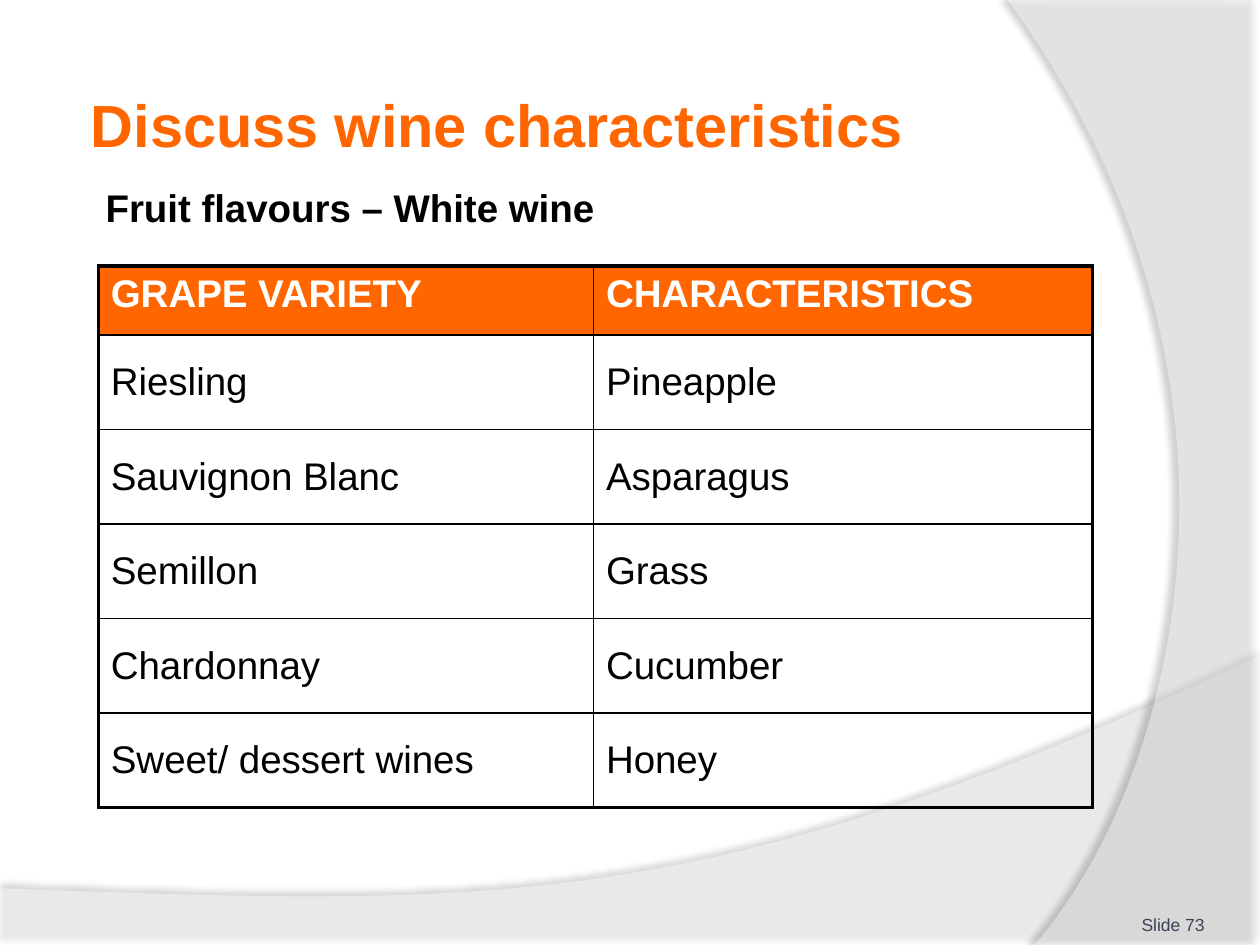
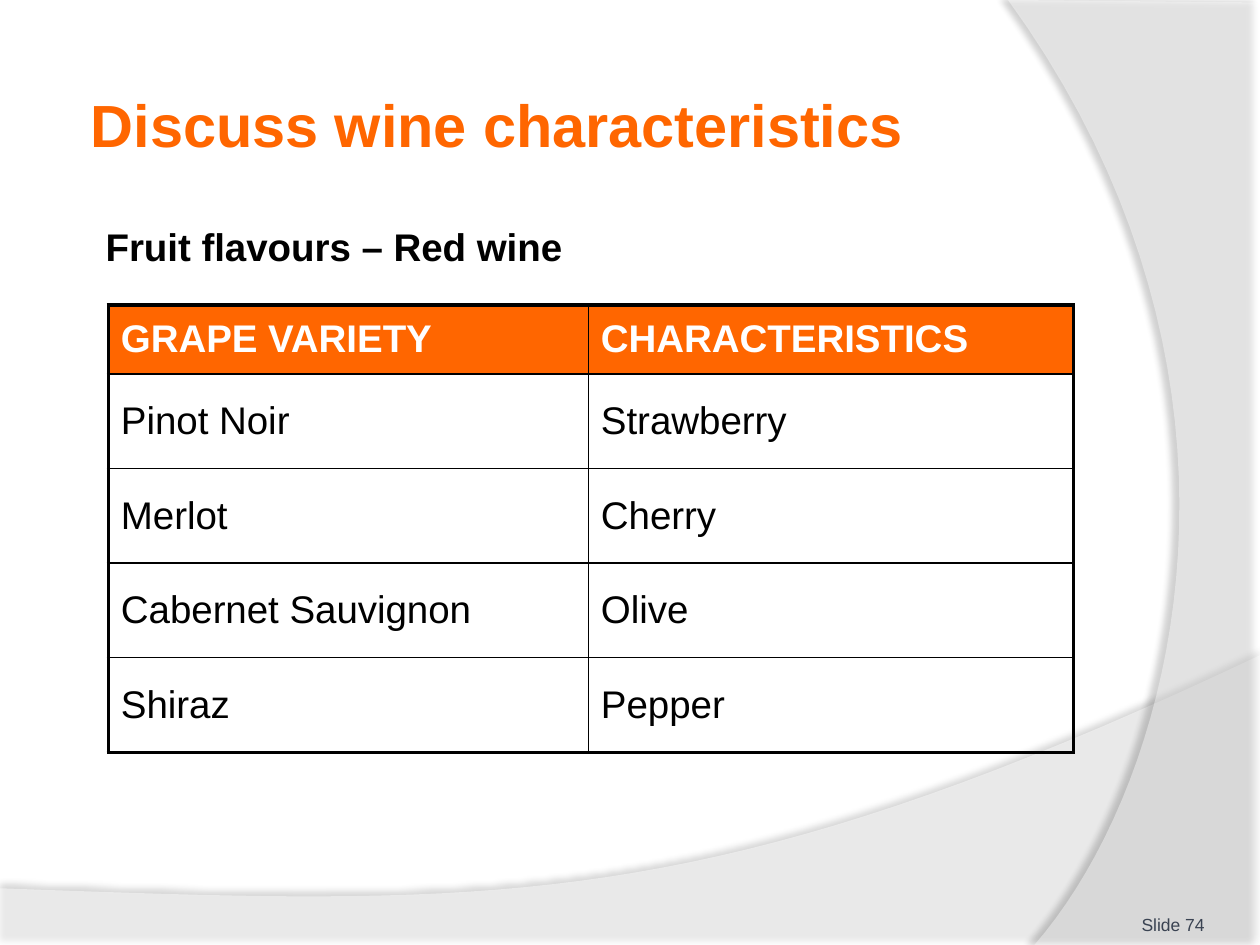
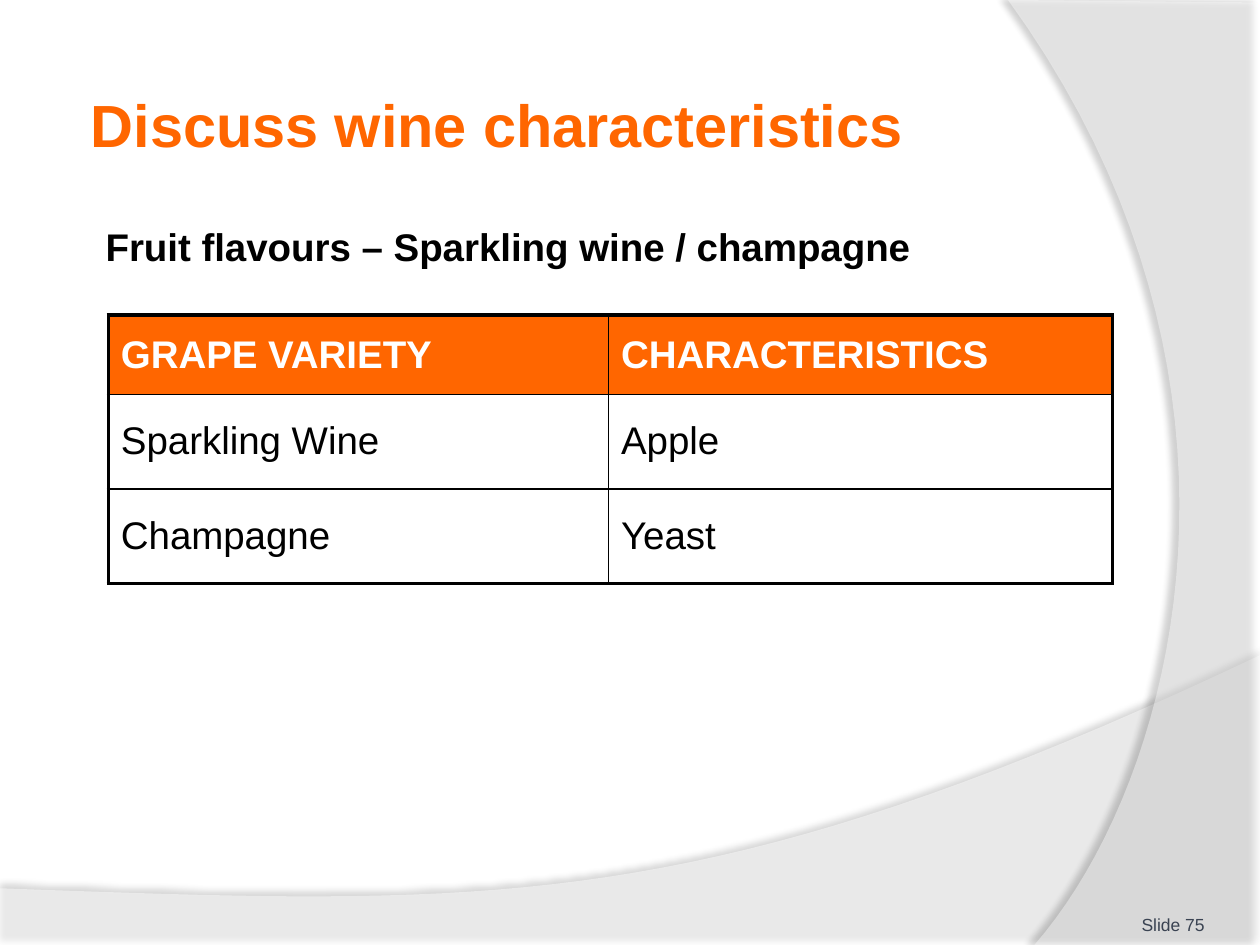
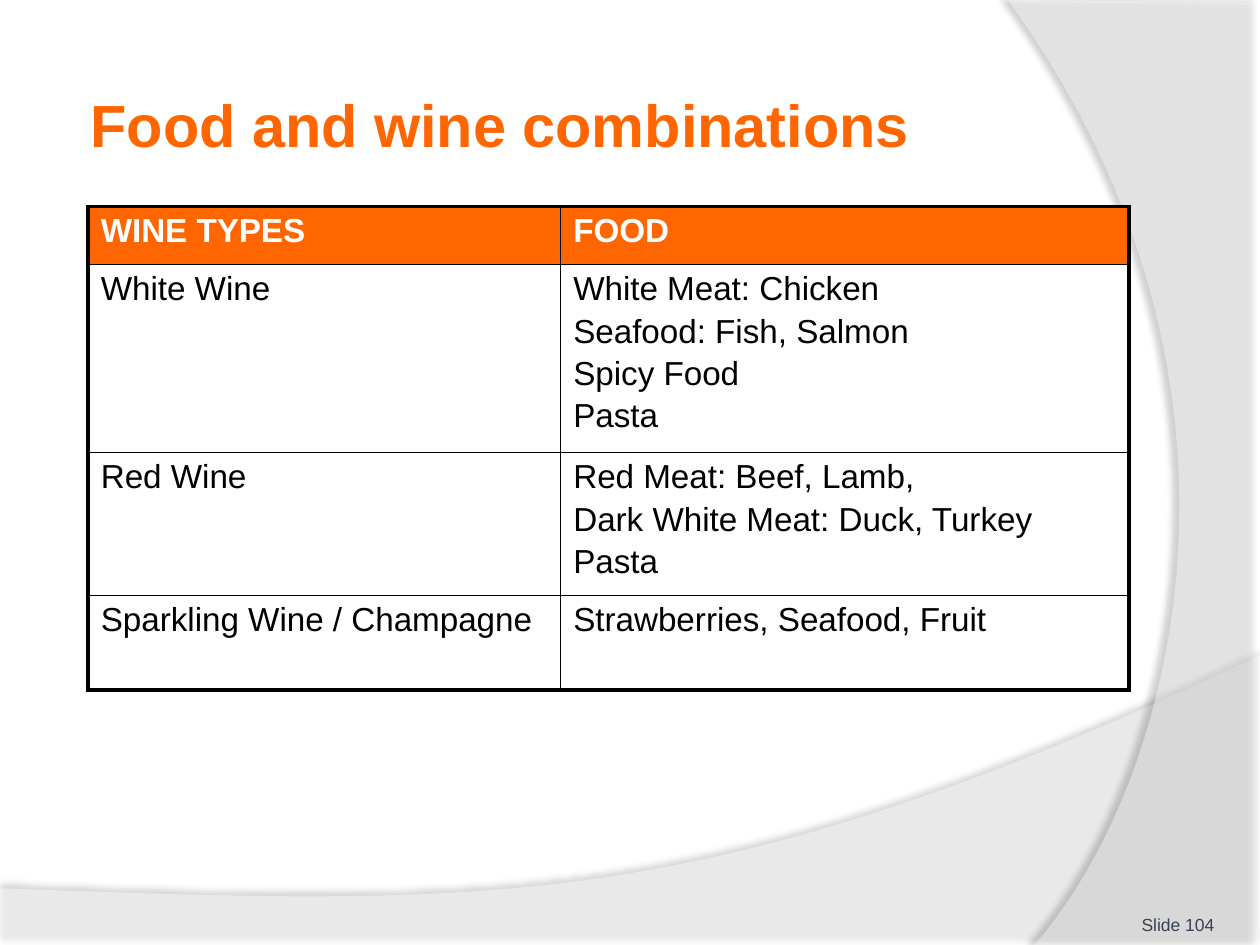
import pptx
import pptx.util
import pptx.dml.color
import pptx.enum.text
import pptx.oxml
import pptx.oxml.ns

# ---- Content ----
FLAVOUR_HEADER = ("GRAPE VARIETY", "CHARACTERISTICS")
ANCHOR = pptx.enum.text.MSO_ANCHOR
SLIDES = [
    dict(number=73, title="Discuss wine characteristics",
         subtitle="Fruit flavours – White wine", subtitle_top=1.41,
         corner=(0.78, 2.11), columns=(3.93, 3.96), heights=[0.55] + [0.75] * 5,
         size=22, header_anchor=ANCHOR.TOP, body_anchor=ANCHOR.MIDDLE,
         rows=[FLAVOUR_HEADER,
               ("Riesling", "Pineapple"),
               ("Sauvignon Blanc", "Asparagus"),
               ("Semillon", "Grass"),
               ("Chardonnay", "Cucumber"),
               ("Sweet/ dessert wines", "Honey")]),
    dict(number=74, title="Discuss wine characteristics",
         subtitle="Fruit flavours – Red wine", subtitle_top=1.72,
         corner=(0.86, 2.42), columns=(3.81, 3.85), heights=[0.55] + [0.75] * 4,
         size=22, header_anchor=ANCHOR.MIDDLE, body_anchor=ANCHOR.MIDDLE,
         rows=[FLAVOUR_HEADER,
               ("Pinot Noir", "Strawberry"),
               ("Merlot", "Cherry"),
               ("Cabernet Sauvignon", "Olive"),
               ("Shiraz", "Pepper")]),
    dict(number=75, title="Discuss wine characteristics",
         subtitle="Fruit flavours – Sparkling wine / champagne", subtitle_top=1.72,
         corner=(0.86, 2.5), columns=(3.97, 4), heights=[0.63] + [0.75] * 2,
         size=22, header_anchor=ANCHOR.MIDDLE, body_anchor=ANCHOR.MIDDLE,
         rows=[FLAVOUR_HEADER,
               ("Sparkling Wine", "Apple"),
               ("Champagne", "Yeast")]),
    dict(number=104, title="Food and wine combinations",
         corner=(0.7, 1.64), columns=(3.75, 4.51), heights=[0.46, 1.43, 1.09, 0.75],
         size=19, header_anchor=ANCHOR.TOP, body_anchor=ANCHOR.TOP,
         rows=[("WINE TYPES", "FOOD"),
               ("White Wine", "White Meat: Chicken\nSeafood: Fish, Salmon\nSpicy Food\nPasta"),
               ("Red Wine", "Red Meat: Beef, Lamb,\nDark White Meat: Duck, Turkey\nPasta"),
               ("Sparkling Wine / Champagne", "Strawberries, Seafood, Fruit")]),
]

# ---- Shared style ----
WIDTH, HEIGHT = 10, 7.5
FONT = "Arial"
ORANGE, BLACK, WHITE, SLATE = "FF6600", "000000", "FFFFFF", "3A4352"
OUTER_BORDER, INNER_BORDER = 2.25, 1
LINE_GAP = 3
CURVE_STEPS = 40

inches = pptx.util.Inches
points = pptx.util.Pt


def color(value):
    return pptx.dml.color.RGBColor.from_string(value)


def xml(text):
    return pptx.oxml.parse_xml(text.replace(">", f" {pptx.oxml.ns.nsdecls('a')}>", 1))


def write(frame, text, size, ink, bold=False):
    for index, line in enumerate(text.split("\n")):
        paragraph = frame.add_paragraph() if index else frame.paragraphs[0]
        if index:
            paragraph.space_before = points(LINE_GAP)
        run = paragraph.add_run()
        run.text = line
        run.font.name, run.font.size, run.font.bold = FONT, points(size), bold
        run.font.color.rgb = color(ink)


def add_text(slide, box, text, size, ink, bold=False, anchor=ANCHOR.TOP,
             insets=(0.1, 0.05, 0.1, 0.05)):
    frame = slide.shapes.add_textbox(*map(inches, box)).text_frame
    frame.word_wrap = True
    frame.vertical_anchor = anchor
    (frame.margin_left, frame.margin_top,
     frame.margin_right, frame.margin_bottom) = map(inches, insets)
    write(frame, text, size, ink, bold)


# ---- Background swooshes ----
def curve(start, first, second, end):
    """Points along a cubic Bezier curve, both ends included."""
    result = []
    for step in range(CURVE_STEPS + 1):
        t = step / CURVE_STEPS
        weights = ((1 - t) ** 3, 3 * t * (1 - t) ** 2, 3 * t * t * (1 - t), t ** 3)
        result.append(tuple(sum(w * p[axis] for w, p in zip(weights, (start, first, second, end)))
                            for axis in (0, 1)))
    return result


def add_swoosh(slide, outline, opacity, shadow_opacity, distance, direction):
    corners = [(inches(x), inches(y)) for x, y in outline]
    builder = slide.shapes.build_freeform(*corners[0])
    builder.add_line_segments(corners[1:], close=True)
    shape = builder.convert_to_shape()
    shape.fill.solid()
    shape.fill.fore_color.rgb = color(WHITE)
    shape.line.fill.background()
    shape.shadow.inherit = False
    properties = shape.element.spPr
    properties.find(".//" + pptx.oxml.ns.qn("a:srgbClr")).append(
        xml(f'<a:alpha val="{opacity * 1000}"/>'.replace("/>", "></a:alpha>")))
    properties.find(pptx.oxml.ns.qn("a:effectLst")).append(xml(
        f'<a:outerShdw blurRad="{points(4)}" dist="{points(distance)}" dir="{direction * 60000}">'
        f'<a:srgbClr val="{BLACK}"><a:alpha val="{shadow_opacity * 1000}"/></a:srgbClr>'
        '</a:outerShdw>'))
    return shape


def dress_layout(layout, slide):
    """Draw the swooshes on a slide, then hand them to the layout all slides share."""
    for placeholder in list(layout.placeholders):
        layout.shapes.element.remove(placeholder.element)
    bottom = [(0, 7.51), (WIDTH, 7.51)] + curve((WIDTH, 5.2), (5.59, 7.29), (3.91, 7.19), (0, 7.05))
    right = [(WIDTH, 0.02), (WIDTH, HEIGHT)] + curve((8.21, HEIGHT), (9.35, 6.19), (10.18, 3), (8, 0))
    for swoosh in (add_swoosh(slide, bottom, 45, 35, 3.5, 270),
                   add_swoosh(slide, right, 40, 45, 4, 180)):
        layout.shapes.element.append(swoosh.element)


# ---- Tables ----
def set_borders(cell, row, column, last_row, last_column):
    outer_sides = dict(L=column == 0, R=column == last_column, T=row == 0, B=row == last_row)
    for side, outer in outer_sides.items():
        width = points(OUTER_BORDER if outer else INNER_BORDER)
        cell._tc.get_or_add_tcPr().append(xml(
            f'<a:ln{side} w="{width}"><a:solidFill><a:srgbClr val="{BLACK}"/></a:solidFill></a:ln{side}>'))


def add_wine_table(slide, content):
    rows, columns, heights = content["rows"], content["columns"], content["heights"]
    size = (sum(columns), sum(heights))
    table = slide.shapes.add_table(len(rows), len(columns),
                                   *map(inches, content["corner"] + size)).table
    table.first_row = table.horz_banding = False
    for column, width in zip(table.columns, columns):
        column.width = inches(width)
    for row, height in zip(table.rows, heights):
        row.height = inches(height)
    for r, texts in enumerate(rows):
        header = r == 0
        for c, text in enumerate(texts):
            cell = table.cell(r, c)
            set_borders(cell, r, c, len(rows) - 1, len(columns) - 1)
            if header:
                cell.fill.solid()
                cell.fill.fore_color.rgb = color(ORANGE)
            else:
                cell.fill.background()
            cell.vertical_anchor = content["header_anchor" if header else "body_anchor"]
            write(cell.text_frame, text, content["size"], WHITE if header else BLACK, header)


# ---- Slides ----
def main():
    presentation = pptx.Presentation()
    presentation.slide_width, presentation.slide_height = inches(WIDTH), inches(HEIGHT)
    layout = presentation.slide_layouts[6]
    for index, content in enumerate(SLIDES):
        slide = presentation.slides.add_slide(layout)
        if index == 0:
            dress_layout(layout, slide)
        add_wine_table(slide, content)
        add_text(slide, (0.67, 0.36, 8.17, 1.25), content["title"], 34, ORANGE, True,
                 ANCHOR.MIDDLE, (0.05,) * 4)
        if "subtitle" in content:
            add_text(slide, (0.74, content["subtitle_top"], 8.17, 5.42),
                     content["subtitle"], 22, BLACK, True)
        add_text(slide, (8.92, 7.02, 0.83, 0.4), f"Slide {content['number']}", 10, SLATE,
                 anchor=ANCHOR.BOTTOM, insets=(0.14, 0.05, 0, 0))
    presentation.save("out.pptx")


if __name__ == "__main__":
    main()
